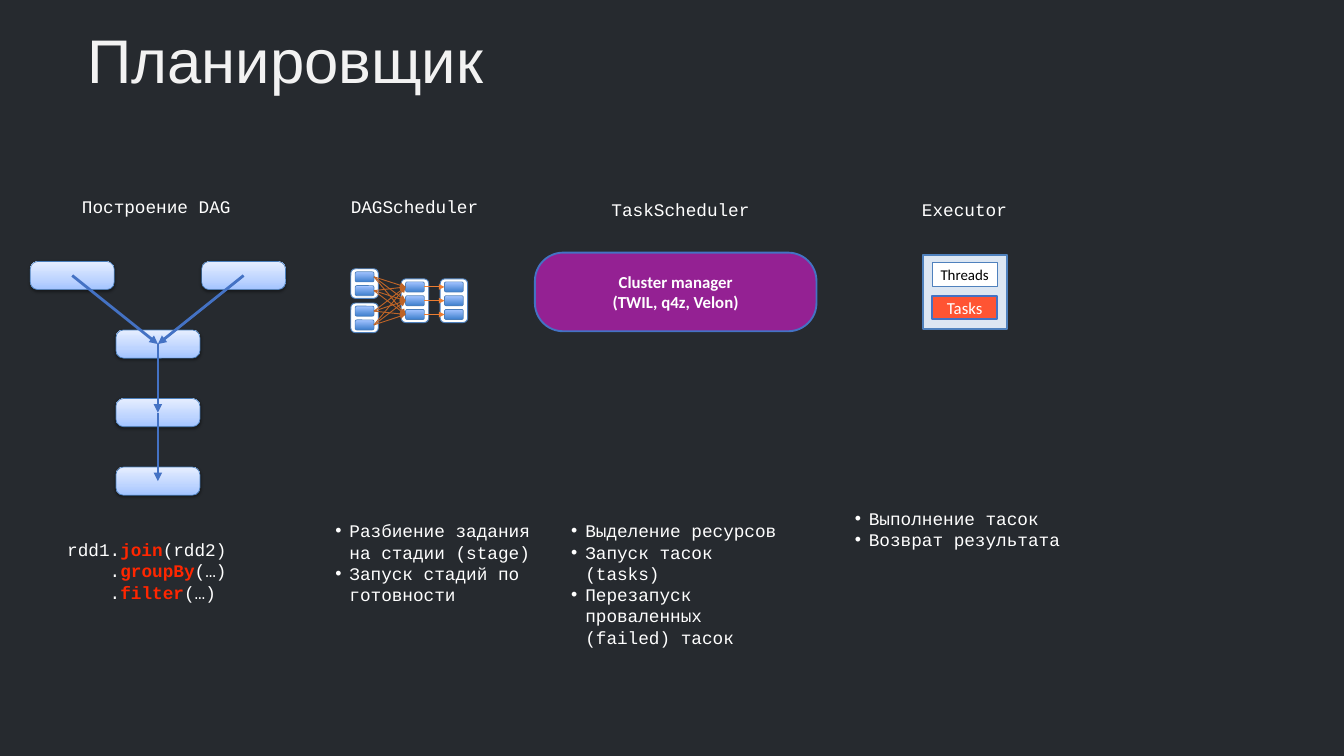
from pptx import Presentation
from pptx import util as u
from pptx.dml import color
from pptx.enum import shapes, text
from pptx.oxml import ns, parse_xml

COLS = 200
WIDE, HIGH = u.Inches(20), u.Inches(11.25)
UNIT = WIDE / COLS
NS = ns.nsdecls("a")
ROUND = shapes.MSO_SHAPE.ROUNDED_RECTANGLE
RECT = shapes.MSO_SHAPE.RECTANGLE
PALE = [(0, "A2C3FF"), (35, "BDD4FF"), (100, "E6EEFF")]
DEEP = [(0, "3F80CE"), (100, "A2C3FF")]
WHITE, BLUE, STEEL, RED = "FFFFFF", "4472C4", "4F81BD", "FF2600"


def grid(*vals):
    return [round(v * UNIT) for v in vals]


def rgb(code):
    return color.RGBColor.from_string(code)


def blend(shape, stops):
    shape.fill.background()
    marks = "".join(
        f'<a:gs pos="{pos * 1000}"><a:srgbClr val="{code}"/></a:gs>'
        for pos, code in stops)
    props = shape.element.spPr
    props.replace(props.find(ns.qn("a:noFill")), parse_xml(
        f'<a:gradFill {NS} rotWithShape="1"><a:gsLst>{marks}</a:gsLst>'
        '<a:lin ang="16200000" scaled="0"/></a:gradFill>'))


def shade(shape):
    shape.element.spPr.find(ns.qn("a:effectLst")).append(parse_xml(
        f'<a:outerShdw {NS} blurRad="38100" dist="20320" dir="5400000" '
        'rotWithShape="0"><a:srgbClr val="000000"><a:alpha val="38000"/>'
        '</a:srgbClr></a:outerShdw>'))


def block(slide, kind, box, fill, edge, thick, curve=None):
    shape = slide.shapes.add_shape(kind, *grid(*box))
    shape.shadow.inherit = False
    if isinstance(fill, list):
        blend(shape, fill)
    else:
        shape.fill.solid()
        shape.fill.fore_color.rgb = rgb(fill)
    shape.line.color.rgb = rgb(edge)
    shape.line.width = u.Pt(thick)
    if curve:
        shape.adjustments[0] = curve
    return shape


def arrow(slide, ends, tint, thick):
    line = slide.shapes.add_connector(
        shapes.MSO_CONNECTOR.STRAIGHT, *grid(*ends))
    line.line.color.rgb = rgb(tint)
    line.line.width = u.Pt(thick)
    line.element.spPr.find(ns.qn("a:ln")).append(
        parse_xml(f'<a:tailEnd {NS} type="triangle"/>'))
    line.element.spPr.append(parse_xml(f'<a:effectLst {NS}/>'))
    return line


def area(slide, box):
    return slide.shapes.add_textbox(*grid(*box))


def write(shape, paras, size=19, font="Courier New", tint=WHITE, bold=False,
          align="LEFT", anchor="TOP", pad=0.5, wrap=True, space=None,
          bullet=False, indents=()):
    frame = shape.text_frame
    frame.word_wrap = wrap
    frame.vertical_anchor = getattr(text.MSO_ANCHOR, anchor)
    for side in ("left", "top", "right", "bottom"):
        setattr(frame, f"margin_{side}", grid(pad)[0])
    for i, runs in enumerate(paras):
        para = frame.add_paragraph() if i else frame.paragraphs[0]
        para.alignment = getattr(text.PP_ALIGN, align)
        if space:
            para.line_spacing = space
        props = para._p.get_or_add_pPr()
        if bullet:
            gap = grid(2.1)[0]
            props.set("marL", str(gap))
            props.set("indent", str(-gap))
            props.append(parse_xml(f'<a:buFont {NS} typeface="Arial"/>'))
            props.append(parse_xml(f'<a:buChar {NS} char="•"/>'))
        elif indents:
            props.set("marL", str(grid(indents[i])[0]))
        for words, hot in [(runs, False)] if isinstance(runs, str) else runs:
            run = para.add_run()
            run.text = words
            run.font.size = u.Pt(size)
            run.font.name = font
            run.font.bold = bold or hot
            run.font.color.rgb = rgb(RED if hot else tint)


def label(slide, box, words):
    write(area(slide, box), [words], wrap=False)


def notes(slide, box, items):
    write(area(slide, box), items, bullet=True)


def graph(slide, x, y, w, h):
    wide, tall = 12.5, 4.2
    mid, step = (w - wide) / 2, (h - tall) / 3
    spots = [(0, 0), (2 * mid, 0), (mid, step), (mid, 2 * step), (mid, 3 * step)]
    hubs = []
    for dx, dy in spots:
        shade(block(slide, ROUND, (x + dx, y + dy, wide, tall),
                    PALE, "4A7EBB", 0.75, 0.27))
        hubs.append((x + dx + wide / 2, y + dy + tall / 2))
    for a, b in [(0, 2), (1, 2), (2, 3), (3, 4)]:
        arrow(slide, hubs[a] + hubs[b], BLUE, 3)


def stage(slide, x, y, w, h, count):
    block(slide, ROUND, (x, y, w, h), WHITE, STEEL, 1)
    return [block(slide, ROUND, (x + 0.65, y + 0.45 + 2.05 * i, 2.8, 1.5),
                  DEEP, "4A7EBB", 0.75) for i in range(count)]


def join(slide, a, b, tint):
    line = arrow(slide, (0, 0, 1, 1), tint, 1)
    line.begin_connect(a, 3)
    line.end_connect(b, 1)


def stages(slide, x, y, w, h):
    wide, tall, three = 4.1, 4.4, 6.5
    top = y + (h - three) / 2
    first = stage(slide, x, y, wide, tall, 2)
    first += stage(slide, x, y + h - tall, wide, tall, 2)
    second = stage(slide, x + 7.5, top, wide, three, 3)
    third = stage(slide, x + w - wide, top, wide, three, 3)
    for a in first:
        for b in second:
            join(slide, a, b, "BE6427")
    for a, b in zip(second, third):
        join(slide, a, b, "ED7D31")


def cluster(slide, *box):
    write(block(slide, ROUND, box, "942193", BLUE, 2, 0.36),
          ["Cluster manager", "(TWIL, q4z, Velon)"], size=18, font="Calibri",
          bold=True, align="CENTER", anchor="MIDDLE")


def worker(slide, x, y, w, h):
    block(slide, RECT, (x, y, w, h), "DCE6F2", STEEL, 2)
    rows = [("Threads", 1.2, WHITE, STEEL, 1, 16, "000000"),
            ("Tasks", 6.1, "FF5433", BLUE, 2, 18, WHITE)]
    for words, dy, fill, edge, thick, size, tint in rows:
        cell = block(slide, RECT, (x + 1.4, y + dy, w - 2.9, 3.5),
                     fill, edge, thick)
        write(cell, [words], size=size, font="Calibri", tint=tint, pad=0,
              align="CENTER", anchor="MIDDLE")


def code(slide, *box):
    write(area(slide, box), [
        [("rdd1.", False), ("join", True), ("(rdd2)", False)],
        [(".", False), ("groupBy", True), ("(…)", False)],
        [(".", False), ("filter", True), ("(…)", False)],
    ], wrap=False, indents=(0, 6.33, 6.33))


def main():
    deck = Presentation()
    deck.slide_width, deck.slide_height = WIDE, HIGH
    slide = deck.slides.add_slide(deck.slide_layouts[6])
    slide.background.fill.solid()
    slide.background.fill.fore_color.rgb = rgb("262A2F")

    write(area(slide, (13, 4.5, 174.2, 11.9)), ["Планировщик"], size=66,
          font="Arial", tint="F2F2F2", pad=0, space=0.9)
    for x, y, w, words in [(11.7, 28.6, 23.4, "Построение DAG"),
                           (51.7, 28.6, 20.1, "DAGScheduler"),
                           (90.5, 29.1, 21.7, "TaskScheduler"),
                           (136.7, 29.1, 13.8, "Executor")]:
        label(slide, (x, y, w, 4.2), words)

    graph(slide, 4.5, 38.9, 38, 34.8)
    stages(slide, 52.2, 40, 17.4, 9.5)
    cluster(slide, 79.6, 37.6, 41.9, 11.7)
    worker(slide, 137.3, 37.9, 12.6, 11)

    code(slide, 9.5, 79.7, 24.9, 10.6)
    for x, y, h, items in [
        (49.4, 76.9, 13.6, ["Разбиение задания на стадии (stage)",
                            "Запуск стадий по готовности"]),
        (84.5, 76.9, 20.2, ["Выделение ресурсов", "Запуск тасок (tasks)",
                            "Перезапуск проваленных (failed) тасок"]),
        (126.7, 75.1, 7.4, ["Выполнение тасок", "Возврат результата"]),
    ]:
        notes(slide, (x, y, 33.8, h), items)
    deck.save("out.pptx")


if __name__ == "__main__":
    main()
